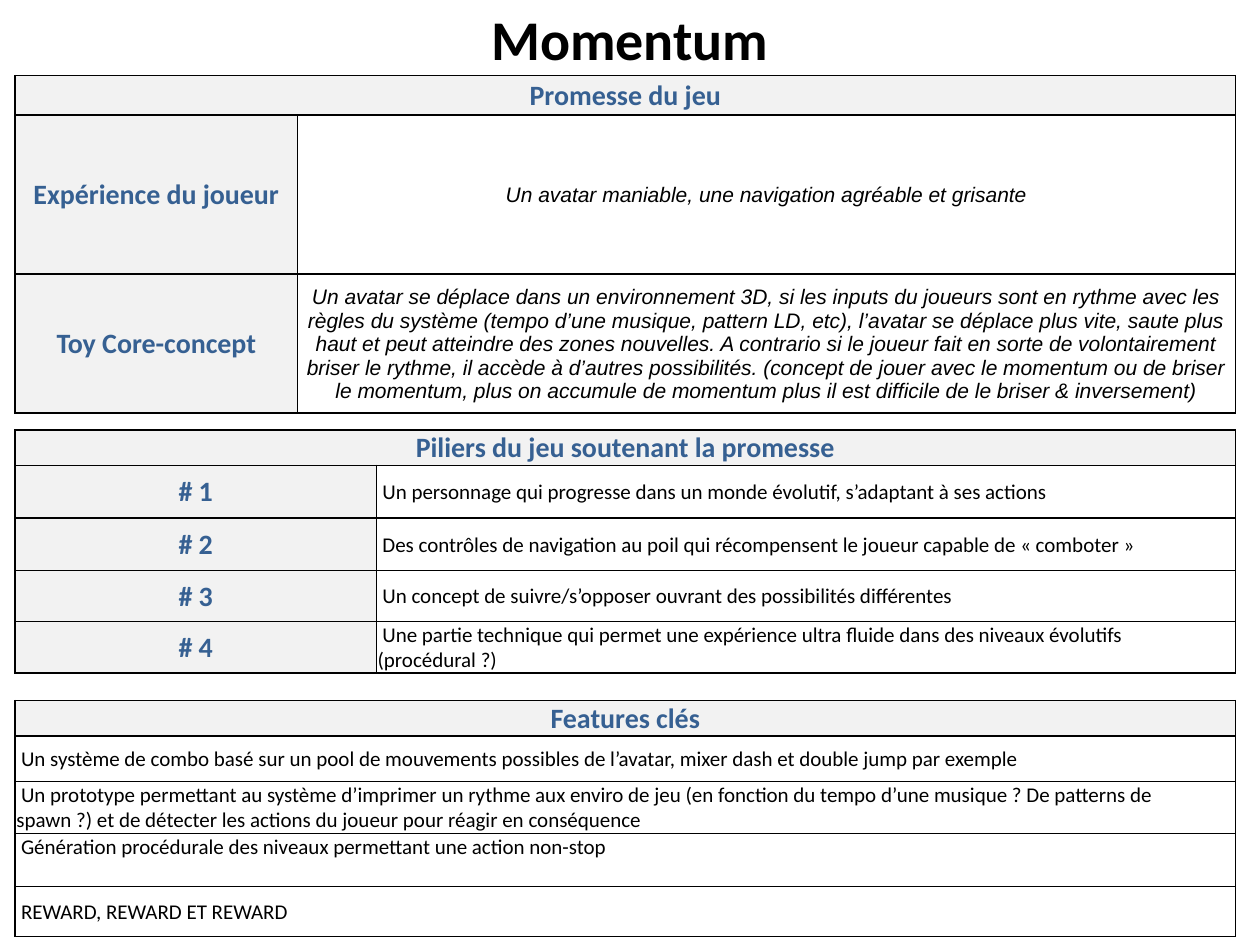
"""Builds the one-page game pitch sheet for Momentum."""
from lxml import etree
from pptx import Presentation
from pptx import util as u
from pptx.dml.color import RGBColor
from pptx.enum import text
from pptx.oxml import ns

BLACK = RGBColor(0x00, 0x00, 0x00)
BLUE = RGBColor(0x36, 0x60, 0x92)
GREY = RGBColor(0xF2, 0xF2, 0xF2)

TITLE = {"name": "Calibri", "size": u.Pt(32), "bold": True, "italic": False, "color": BLACK}
LABEL = {**TITLE, "size": u.Pt(16), "color": BLUE}
BODY = {**TITLE, "size": u.Pt(12), "bold": False}
PROMISE = {**BODY, "name": "Arial", "italic": True}

LEFT = 8.6
OUTER, INNER = 1, 0.75
CENTER, START = text.PP_ALIGN.CENTER, text.PP_ALIGN.LEFT
MIDDLE, TOP = text.MSO_ANCHOR.MIDDLE, text.MSO_ANCHOR.TOP


class Sheet:
    def __init__(self, slide):
        self.slide = slide

    def add_words(self, frame, words, style, align):
        para = frame.paragraphs[0]
        para.alignment = align
        span = para.add_run()
        span.text = words
        for key, value in style.items():
            if key == "color":
                span.font.color.rgb = value
            else:
                setattr(span.font, key, value)

    def title(self, words, width, height):
        box = self.slide.shapes.add_textbox(0, 0, u.Pt(width), u.Pt(height))
        box.text_frame.word_wrap = True
        box.text_frame.vertical_anchor = MIDDLE
        self.add_words(box.text_frame, words, TITLE, CENTER)

    def borders(self, cell, widths):
        properties = cell._tc.get_or_add_tcPr()
        for index, (side, width) in enumerate(widths.items()):
            line = etree.Element(ns.qn(f"a:ln{side}"), w=str(u.Pt(width)))
            fill = etree.SubElement(line, ns.qn("a:solidFill"))
            etree.SubElement(fill, ns.qn("a:srgbClr"), val=str(BLACK))
            properties.insert(index, line)

    def cell(self, cell, words, style, align, anchor):
        margins = {"margin_left": 0.75, "margin_top": 0.75, "margin_right": 0.75, "margin_bottom": 0}
        for key, value in margins.items():
            setattr(cell, key, u.Pt(value))
        cell.vertical_anchor = anchor
        if style is LABEL:
            cell.fill.solid()
            cell.fill.fore_color.rgb = GREY
        else:
            cell.fill.background()
        self.add_words(cell.text_frame, words, style, align)

    def table(self, top, columns, heights, rows, style, align, header=None, top_rows=()):
        if header:
            rows = [[header] + [""] * (len(columns) - 1)] + rows
        last_row, last_column = len(rows) - 1, len(columns) - 1
        frame = self.slide.shapes.add_table(
            len(rows), len(columns), u.Pt(LEFT), u.Pt(top), u.Pt(sum(columns)), u.Pt(sum(heights)))
        table = frame.table
        table.first_row = table.horz_banding = False
        for column, width in zip(table.columns, columns):
            column.width = u.Pt(width)
        for row, height in zip(table.rows, heights):
            row.height = u.Pt(height)
        for r, row in enumerate(rows):
            for c, words in enumerate(row):
                is_label = (header and r == 0) or c < last_column
                cell = table.cell(r, c)
                self.cell(cell, words, LABEL if is_label else style,
                          CENTER if is_label else align, TOP if r in top_rows else MIDDLE)
                self.borders(cell, {
                    "L": OUTER if c == 0 else INNER,
                    "R": OUTER if c == last_column else INNER,
                    "T": OUTER if r == 0 else INNER,
                    "B": OUTER if r == last_row else INNER,
                })
        if header and last_column:
            table.cell(0, 0).merge(table.cell(0, last_column))


def main():
    deck = Presentation()
    deck.slide_width, deck.slide_height = u.Pt(720), u.Pt(540)
    sheet = Sheet(deck.slides.add_slide(deck.slide_layouts[6]))
    sheet.title("Momentum", 720, 43.2)

    promise_columns = [161.5, 536]
    sheet.table(43.2, promise_columns, [22.5, 91], [
        ["Expérience du joueur", "Un avatar maniable, une navigation agréable et grisante"],
    ], PROMISE, CENTER, header="Promesse du jeu")

    sheet.table(156.8, promise_columns, [79.2], [
        ["Toy Core-concept",
         "Un avatar se déplace dans un environnement 3D, si les inputs du joueurs sont en rythme "
         "avec les règles du système (tempo d’une musique, pattern LD, etc), l’avatar se déplace "
         "plus vite, saute plus haut et peut atteindre des zones nouvelles. A contrario si le "
         "joueur fait en sorte de volontairement briser le rythme, il accède à d’autres "
         "possibilités. (concept de jouer avec le momentum ou de briser le momentum, plus on "
         "accumule de momentum plus il est difficile de le briser & inversement)"],
    ], PROMISE, CENTER)

    pillars = [
        " Un personnage qui progresse dans un monde évolutif, s’adaptant à ses actions",
        " Des contrôles de navigation au poil qui récompensent le joueur capable de « comboter »",
        " Un concept de suivre/s’opposer ouvrant des possibilités différentes",
        " Une partie technique qui permet une expérience ultra fluide dans des niveaux évolutifs "
        "(procédural ?)",
    ]
    sheet.table(245.6, [206.5, 491], [20.2, 30.2, 30.2, 28.8, 29.6],
                [[f"# {number}", words] for number, words in enumerate(pillars, 1)],
                BODY, START, header="Piliers du jeu soutenant la promesse")

    features = [
        " Un système de combo basé sur un pool de mouvements possibles de l’avatar, mixer dash "
        "et double jump par exemple",
        " Un prototype permettant au système d’imprimer un rythme aux enviro de jeu (en fonction "
        "du tempo d’une musique ? De patterns de spawn ?) et de détecter les actions du joueur "
        "pour réagir en conséquence",
        " Génération procédurale des niveaux permettant une action non-stop",
        " REWARD, REWARD ET REWARD",
    ]
    sheet.table(400.4, [697.5], [20.2, 25.8, 29.8, 30.2, 28.8],
                [[words] for words in features], BODY, START,
                header="Features clés", top_rows=(3,))
    deck.save("out.pptx")


if __name__ == "__main__":
    main()
